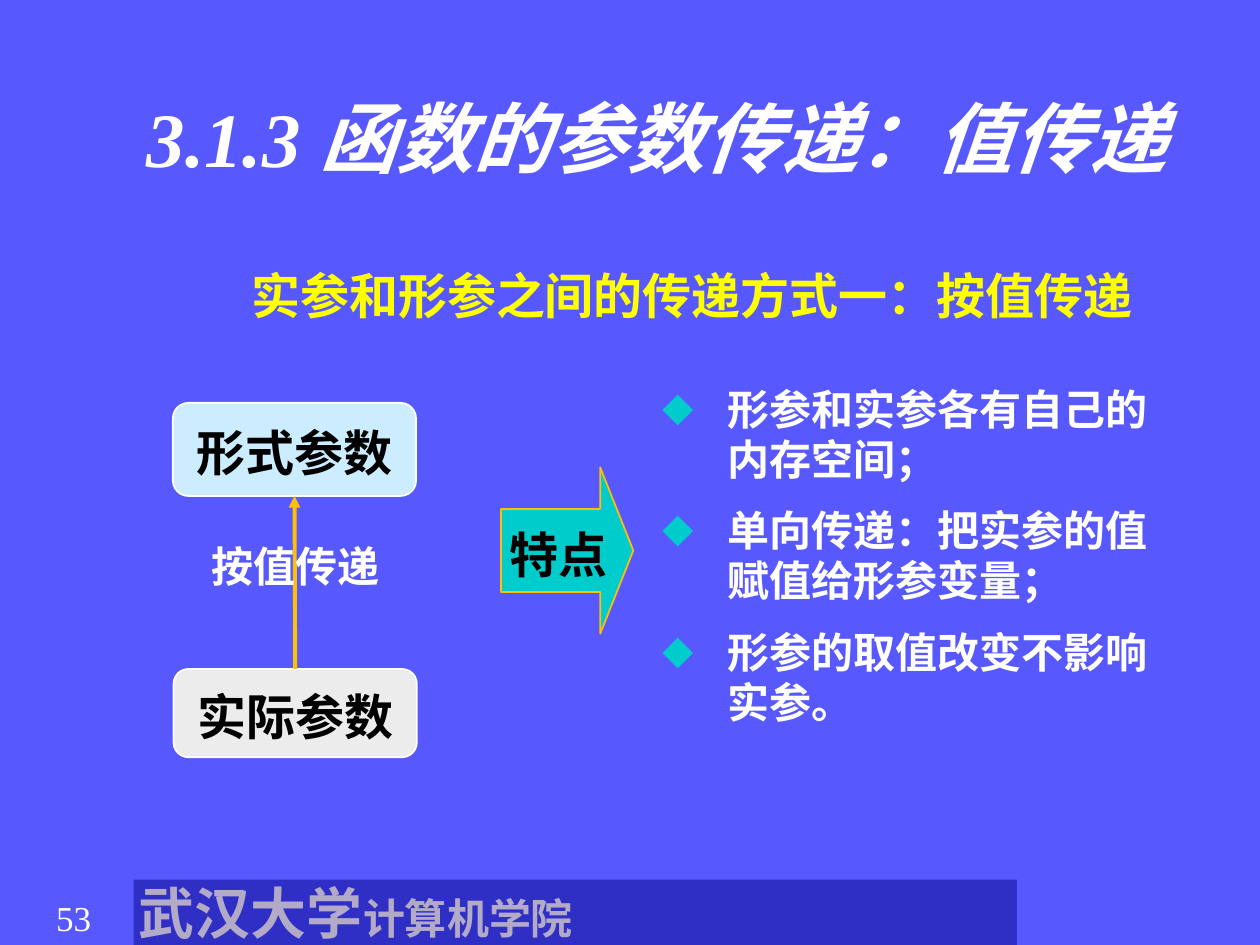
from lxml.etree import SubElement
from pptx import Presentation
from pptx.dml.color import RGBColor
from pptx.enum.shapes import MSO_CONNECTOR, MSO_SHAPE
from pptx.enum.text import MSO_ANCHOR, PP_ALIGN
from pptx.oxml.ns import qn
from pptx.util import Pt


def rgb(value):
    return RGBColor.from_string(value)


def write(sp, text, size=28, color="FFFFFF", bold=True, italic=False, align=PP_ALIGN.CENTER,
          anchor=MSO_ANCHOR.MIDDLE, spacing=None, side=7.2, top=3.6, bottom=3.6):
    """Fill a shape with one paragraph per line; a line is text or a list of (text, size) runs."""
    tf = sp.text_frame
    tf.word_wrap = True
    tf.vertical_anchor = anchor
    tf.margin_left = tf.margin_right = Pt(side)
    tf.margin_top, tf.margin_bottom = Pt(top), Pt(bottom)
    lines = text if isinstance(text, list) else [[(text, size)]]
    for i, line in enumerate(lines):
        p = tf.paragraphs[0] if i == 0 else tf.add_paragraph()
        p.alignment = align
        if spacing:
            p.line_spacing = spacing
        for words, points in line:
            r = p.add_run()
            r.text = words
            r.font.size = Pt(points)
            r.font.bold, r.font.italic = bold, italic
            r.font.name = "Times New Roman"
            r.font.color.rgb = rgb(color)
            SubElement(r.font._element, qn("a:ea"), typeface="Noto Sans CJK SC")
    return tf


prs = Presentation()
prs.slide_width, prs.slide_height = Pt(720), Pt(540)
s = prs.slides.add_slide(prs.slide_layouts[6])
s.background.fill.solid()
s.background.fill.fore_color.rgb = rgb("5858FF")

# Page number and footer
number = s.shapes.add_textbox(Pt(12.24), Pt(509), Pt(59.76), Pt(31))
write(number, "53", size=20, bold=False, anchor=MSO_ANCHOR.TOP)

footer = s.shapes.add_shape(MSO_SHAPE.RECTANGLE, Pt(76.4), Pt(502.6), Pt(504.7), Pt(37.4))
footer.shadow.inherit = False
footer.fill.solid()
footer.fill.fore_color.rgb = rgb("2F2FC5")
footer.line.fill.background()
write(footer, [[("武汉大学", 32), ("计算机学院", 24)]], color="B3AAC8",
      align=PP_ALIGN.LEFT, side=2.9, top=0, bottom=0)

# Title, subtitle and feature list
title = s.shapes.add_textbox(Pt(51.8), Pt(43.9), Pt(636.5), Pt(46))
write(title, " 3.1.3 函数的参数传递：值传递", size=44, italic=True,
      anchor=MSO_ANCHOR.TOP, spacing=Pt(52), top=8.4)

subtitle = s.shapes.add_textbox(Pt(117.4), Pt(145.4), Pt(555.8), Pt(56.9))
write(subtitle, "实参和形参之间的传递方式一：按值传递", color="FFFF00",
      anchor=MSO_ANCHOR.TOP, spacing=Pt(33.3), top=6.7)

features = s.shapes.add_textbox(Pt(371.5), Pt(213.1), Pt(300.2), Pt(200.9))
points = ["形参和实参各有自己的内存空间；", "单向传递：把实参的值赋值给形参变量；", "形参的取值改变不影响实参。"]
tf = write(features, [[(point, 24)] for point in points], align=PP_ALIGN.LEFT,
           anchor=MSO_ANCHOR.TOP, spacing=Pt(28.5), top=6.2)
for i, p in enumerate(tf.paragraphs):
    if i:
        p.space_before = Pt(12.5)
    pPr = p._p.get_or_add_pPr()
    pPr.set("marL", str(Pt(37.4)))
    pPr.set("indent", str(Pt(-37.4)))
    SubElement(SubElement(pPr, qn("a:buClr")), qn("a:srgbClr"), val="00CCCC")
    SubElement(pPr, qn("a:buSzPct"), val="75000")
    SubElement(pPr, qn("a:buFont"), typeface="Noto Sans CJK SC")
    SubElement(pPr, qn("a:buChar"), char="◆")
    SubElement(SubElement(pPr, qn("a:tabLst")), qn("a:tab"), pos=str(Pt(20.9)), algn="l")

# Arrow to the features and the two parameter boxes
blocks = []
for kind, box, adjustments, fill, line, text in [
    (MSO_SHAPE.RIGHT_ARROW, (286.3, 267.1, 75.6, 95), (0.5, 0.25), "00CCCC", "FFC000", "特点"),
    (MSO_SHAPE.ROUNDED_RECTANGLE, (98.8, 230.2, 139, 53.2), (0.167,), "CCECFF", "FFFFFF", "形式参数"),
    (MSO_SHAPE.ROUNDED_RECTANGLE, (99.2, 382.3, 139, 50.4), (0.167,), "ECECEC", "FFFFFF", "实际参数"),
]:
    sp = s.shapes.add_shape(kind, *map(Pt, box))
    for i, value in enumerate(adjustments):
        sp.adjustments[i] = value
    sp.shadow.inherit = False
    sp.fill.solid()
    sp.fill.fore_color.rgb = rgb(fill)
    sp.line.color.rgb = rgb(line)
    sp.line.width = Pt(1)
    write(sp, text, color="000000", spacing=1.1, side=0)
    blocks.append(sp)
feature_arrow, formal, actual = blocks

# Value passed from the actual to the formal parameter
passing = s.shapes.add_connector(MSO_CONNECTOR.STRAIGHT, Pt(168.7), Pt(382.3), Pt(168.3), Pt(283.4))
passing.begin_connect(formal, 2)
passing.end_connect(actual, 0)
passing.line.color.rgb = rgb("FFC000")
passing.line.width = Pt(2.25)
SubElement(passing.line._get_or_add_ln(), qn("a:headEnd"), type="triangle")
SubElement(passing._element.spPr, qn("a:effectLst"))

label = s.shapes.add_textbox(Pt(93.6), Pt(301.7), Pt(136.1), Pt(40.3))
tf = write(label, "按值传递", size=24, spacing=1.1, side=0)
tf.paragraphs[0]._p.get_or_add_pPr().set("marL", str(Pt(14.4)))

prs.save("out.pptx")
